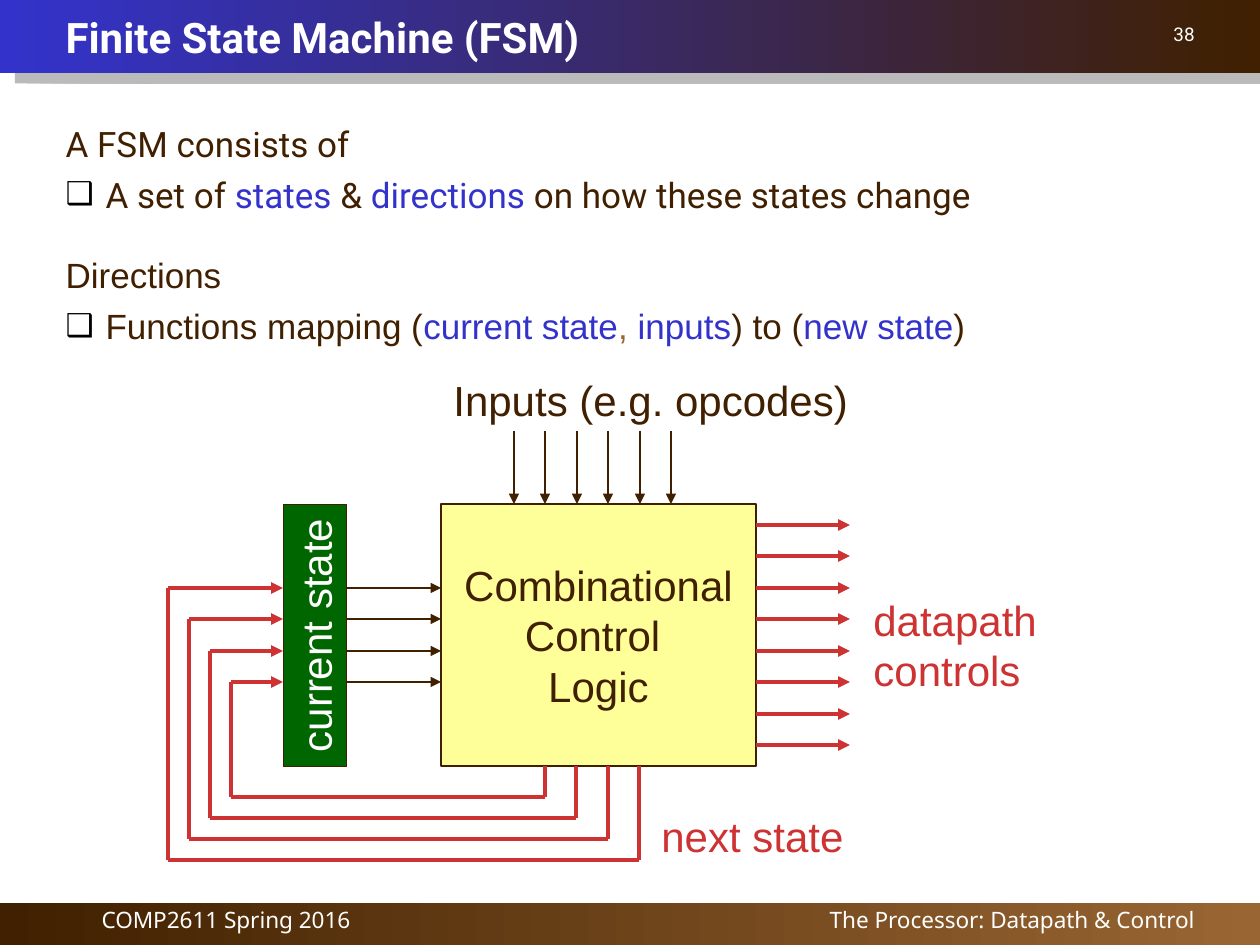
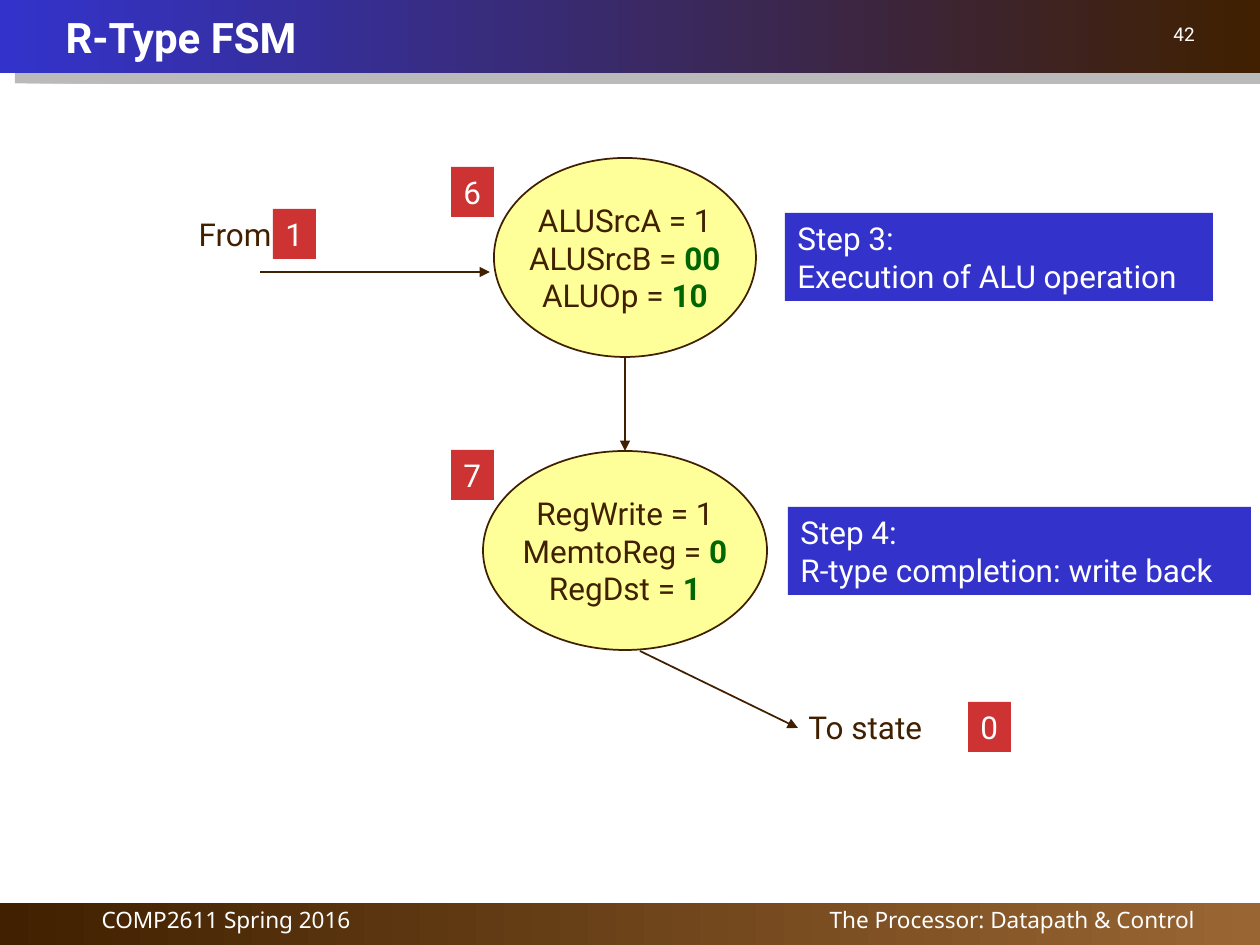
from dataclasses import dataclass
from itertools import pairwise

from pptx import Presentation
from pptx import util as u
from pptx.dml import color as dml
from pptx.enum import shapes, text
from pptx.oxml import ns, parse_xml

PX = 914400 / 126
BROWN, TAN, BLUE = "402000", "996633", "3333CC"
RED, GREEN, YELLOW, WHITE = "CD3333", "006600", "FFFF99", "FFFFFF"
LEFT, CENTER, RIGHT = text.PP_ALIGN.LEFT, text.PP_ALIGN.CENTER, text.PP_ALIGN.RIGHT
RECTANGLE, OVAL = shapes.MSO_SHAPE.RECTANGLE, shapes.MSO_SHAPE.OVAL
XMLNS = ns.nsdecls("a")


@dataclass(frozen=True)
class Run:
    words: str
    color: str = BROWN
    bold: bool = False


@dataclass(frozen=True)
class Style:
    font: str
    size: float
    align: int = LEFT
    line_spacing: float = 1.0
    space_before: float = 0


@dataclass(frozen=True)
class Box:
    place: tuple[int, int, int, int]
    lines: list[list[Run]]
    style: Style
    fill: str | None = None
    outline: str | None = None
    preset: int = RECTANGLE
    wrap: bool = False
    middle: bool = False
    rotation: int = 0


@dataclass(frozen=True)
class Item:
    runs: list[Run]
    font: str
    bulleted: bool = False
    space_before: int = 5


TITLE = Style("Roboto", 24)
FOOTER_LEFT = Style("Noto Sans", 12.9, CENTER, 0.9, 8.8)
FOOTER_RIGHT = Style("Noto Sans", 12.9, RIGHT, 0.9, 8.8)
PAGE_NUMBER = Style("Roboto", 10.8, RIGHT, 0.8, 8.8)
DIAGRAM = Style("Arial", 24)
DIAGRAM_CENTER = Style("Arial", 24, CENTER)
STATE = Style("Roboto", 18)
STATE_CENTER = Style("Roboto", 18, CENTER)
STATE_RIGHT = Style("Roboto", 18, RIGHT)


def px(length: int) -> int:
    return round(length * PX)


def rgb(value: str) -> dml.RGBColor:
    return dml.RGBColor.from_string(value)


def put(shape, place) -> None:
    shape.left, shape.top, shape.width, shape.height = map(px, place)


def write_paragraph(paragraph, runs: list[Run], style: Style) -> None:
    paragraph.alignment = style.align
    paragraph.line_spacing = style.line_spacing
    paragraph.space_before = u.Pt(style.space_before)
    for part in runs:
        run = paragraph.add_run()
        run.text = part.words
        run.font.name = style.font
        run.font.size = u.Pt(style.size)
        run.font.bold = part.bold
        run.font.color.rgb = rgb(part.color)


def write_lines(frame, lines: list[list[Run]], style: Style) -> None:
    for index, runs in enumerate(lines):
        paragraph = frame.add_paragraph() if index else frame.paragraphs[0]
        write_paragraph(paragraph, runs, style)


def add_box(slide, box: Box):
    place = map(px, box.place)
    if box.fill:
        shape = slide.shapes.add_shape(box.preset, *place)
        shape.shadow.inherit = False
        shape.fill.solid()
        shape.fill.fore_color.rgb = rgb(box.fill)
        if box.outline:
            shape.line.color.rgb = rgb(box.outline)
            shape.line.width = u.Pt(1)
        else:
            shape.line.fill.background()
    else:
        shape = slide.shapes.add_textbox(*place)
    shape.rotation = box.rotation
    frame = shape.text_frame
    frame.word_wrap = box.wrap
    frame.vertical_anchor = text.MSO_ANCHOR.MIDDLE if box.middle else text.MSO_ANCHOR.TOP
    write_lines(frame, box.lines, box.style)
    return shape


def add_line(slide, start, end, color: str = BROWN, width: float = 1, arrow: bool = True):
    connector = slide.shapes.add_connector(
        shapes.MSO_CONNECTOR.STRAIGHT, *map(px, (*start, *end))
    )
    connector.line.color.rgb = rgb(color)
    connector.line.width = u.Pt(width)
    properties = connector.element.spPr
    if arrow:
        outline = properties.find(ns.qn("a:ln"))
        outline.append(parse_xml(f'<a:tailEnd {XMLNS} type="triangle"/>'))
    properties.append(parse_xml(f"<a:effectLst {XMLNS}/>"))
    return connector


def add_path(slide, points, color: str, width: float) -> None:
    segments = list(pairwise(points))
    for index, (start, end) in enumerate(segments, 1):
        add_line(slide, start, end, color, width, arrow=index == len(segments))


def add_band(slide, place, start: str, end: str):
    band = slide.shapes.add_shape(RECTANGLE, *map(px, place))
    band.shadow.inherit = False
    band.line.fill.background()
    band.fill.gradient()
    band.fill.gradient_angle = 0
    for stop, color in zip(band.fill.gradient_stops, (start, end)):
        stop.color.rgb = rgb(color)
    slide.shapes.element.insert(2, band.element)
    return band


def add_slide(presentation, layout: int, title: str, number: str):
    slide = presentation.slides.add_slide(presentation.slide_layouts[layout])
    add_band(slide, (0, 903, 1260, 42), BROWN, TAN)
    header = add_band(slide, (0, 0, 1260, 73), BLUE, BROWN)
    header.element.spPr.find(ns.qn("a:effectLst")).append(parse_xml(
        f'<a:outerShdw {XMLNS} blurRad="0" dist="132080" dir="2100000" algn="ctr" '
        'rotWithShape="0"><a:srgbClr val="777777"><a:alpha val="50000"/></a:srgbClr>'
        "</a:outerShdw>"
    ))
    put(slide.shapes.title, (53, 0, 1155, 74))
    frame = slide.shapes.title.text_frame
    frame.auto_size = text.MSO_AUTO_SIZE.NONE
    frame.vertical_anchor = text.MSO_ANCHOR.MIDDLE
    write_lines(frame, [[Run(title, WHITE, True)]], TITLE)
    for place, words, style in (
        ((32, 903, 388, 43), "COMP2611 Spring 2016", FOOTER_LEFT),
        ((577, 903, 630, 43), "The Processor: Datapath & Control", FOOTER_RIGHT),
        ((945, 21, 262, 43), number, PAGE_NUMBER),
    ):
        add_box(slide, Box(place, [[Run(words, WHITE)]], style, wrap=True))
    return slide


def fill_body(body, items: list[Item]) -> None:
    put(body, (53, 116, 1155, 756))
    frame = body.text_frame
    frame.auto_size = text.MSO_AUTO_SIZE.NONE
    for index, item in enumerate(items):
        paragraph = frame.add_paragraph() if index else frame.paragraphs[0]
        style = Style(item.font, 20, space_before=item.space_before)
        write_paragraph(paragraph, item.runs, style)
        properties = paragraph._p.get_or_add_pPr()
        properties.set("marL", str(px(40)))
        properties.set("indent", str(px(-40)))
        if item.bulleted:
            properties.append(parse_xml(
                f'<a:buClr {XMLNS}><a:srgbClr val="000000"/></a:buClr>'
            ))
            properties.append(parse_xml(f'<a:buSzPct {XMLNS} val="90000"/>'))
            properties.append(parse_xml(f'<a:buChar {XMLNS} char="❑"/>'))
        else:
            properties.append(parse_xml(f"<a:buNone {XMLNS}/>"))


def spread(first: int, count: int) -> list[int]:
    return [first + 63 * index // 2 for index in range(count)]


def build_machine(presentation) -> None:
    slide = add_slide(presentation, 1, "Finite State Machine (FSM)", "38")
    fill_body(slide.placeholders[1], [
        Item([Run("A FSM consists of")], "Roboto"),
        Item([Run("A set of "), Run("states", BLUE), Run(" & "), Run("directions", BLUE),
              Run(" on how these states change")], "Roboto", True),
        Item([Run("Directions")], "Arial", space_before=22),
        Item([Run("Functions mapping ("), Run("current state", BLUE), Run(", ", TAN),
              Run("inputs", BLUE), Run(") to ("), Run("new state", BLUE), Run(")")],
             "Arial", True),
    ])
    logic = [[Run(word)] for word in ("Combinational", "Control ", "Logic")]
    add_box(slide, Box((441, 504, 315, 262), logic, DIAGRAM_CENTER, YELLOW, BROWN,
                       middle=True))
    add_box(slide, Box((184, 604, 262, 63), [[Run("current state", WHITE)]],
                       DIAGRAM_CENTER, GREEN, BROWN, middle=True, rotation=270))
    for place, words, color in (
        ((441, 368, 420, 63), "Inputs (e.g. opcodes)", BROWN),
        ((649, 804, 207, 63), "next state", RED),
        ((861, 588, 346, 63), "datapath controls", RED),
    ):
        add_box(slide, Box(place, [[Run(words, color)]], DIAGRAM))

    for x in spread(514, 6):
        add_line(slide, (x, 431), (x, 504))
    state_rows = spread(588, 4)
    for y in state_rows:
        add_line(slide, (346, y), (441, y))
    for y in spread(525, 8):
        add_line(slide, (756, y), (850, y), RED, 2.25)
    for index, (x, y) in enumerate(zip(spread(545, 4), reversed(state_rows))):
        bottom, left = 797 + 21 * index, 231 - 21 * index
        loop = [(x, 766), (x, bottom), (left, bottom), (left, y), (283, y)]
        add_path(slide, loop, RED, 2.25)


def build_r_type(presentation) -> None:
    slide = add_slide(presentation, 5, "R-Type FSM", "42")
    execute = [
        [Run("ALUSrcA = 1")],
        [Run("ALUSrcB = "), Run("00", GREEN, True)],
        [Run("ALUOp = "), Run("10", GREEN, True)],
    ]
    complete = [
        [Run("RegWrite = 1")],
        [Run("MemtoReg = "), Run("0", GREEN, True)],
        [Run("RegDst = "), Run("1", GREEN, True)],
    ]
    add_box(slide, Box((494, 158, 262, 199), execute, STATE_CENTER, YELLOW, BROWN,
                       OVAL, middle=True))
    completion = add_box(slide, Box((483, 451, 284, 199), complete, STATE_CENTER,
                                    YELLOW, BROWN, OVAL, middle=True))
    for left, top, number in ((451, 167, "6"), (451, 450, "7"), (273, 209, "1"),
                              (968, 702, "0")):
        add_box(slide, Box((left, top, 43, 50), [[Run(number, WHITE)]], STATE, RED))
    for place, step, action in (
        ((785, 213, 428, 88), "Step 3:", "Execution of ALU operation"),
        ((788, 507, 463, 88), "Step 4:", "R-type completion: write back"),
    ):
        lines = [[Run(step, WHITE)], [Run(action, WHITE)]]
        add_box(slide, Box(place, lines, STATE, BLUE, wrap=True))
    add_box(slide, Box((181, 209, 103, 50), [[Run("From")]], STATE_RIGHT))
    add_box(slide, Box((796, 702, 142, 50), [[Run("To state")]], STATE))

    add_line(slide, (260, 272), (490, 272))
    add_line(slide, (625, 357), (625, 451)).end_connect(completion, 0)
    add_line(slide, (640, 651), (798, 728))


def main() -> None:
    presentation = Presentation()
    presentation.slide_width, presentation.slide_height = px(1260), px(945)
    build_machine(presentation)
    build_r_type(presentation)
    presentation.save("out.pptx")


if __name__ == "__main__":
    main()
